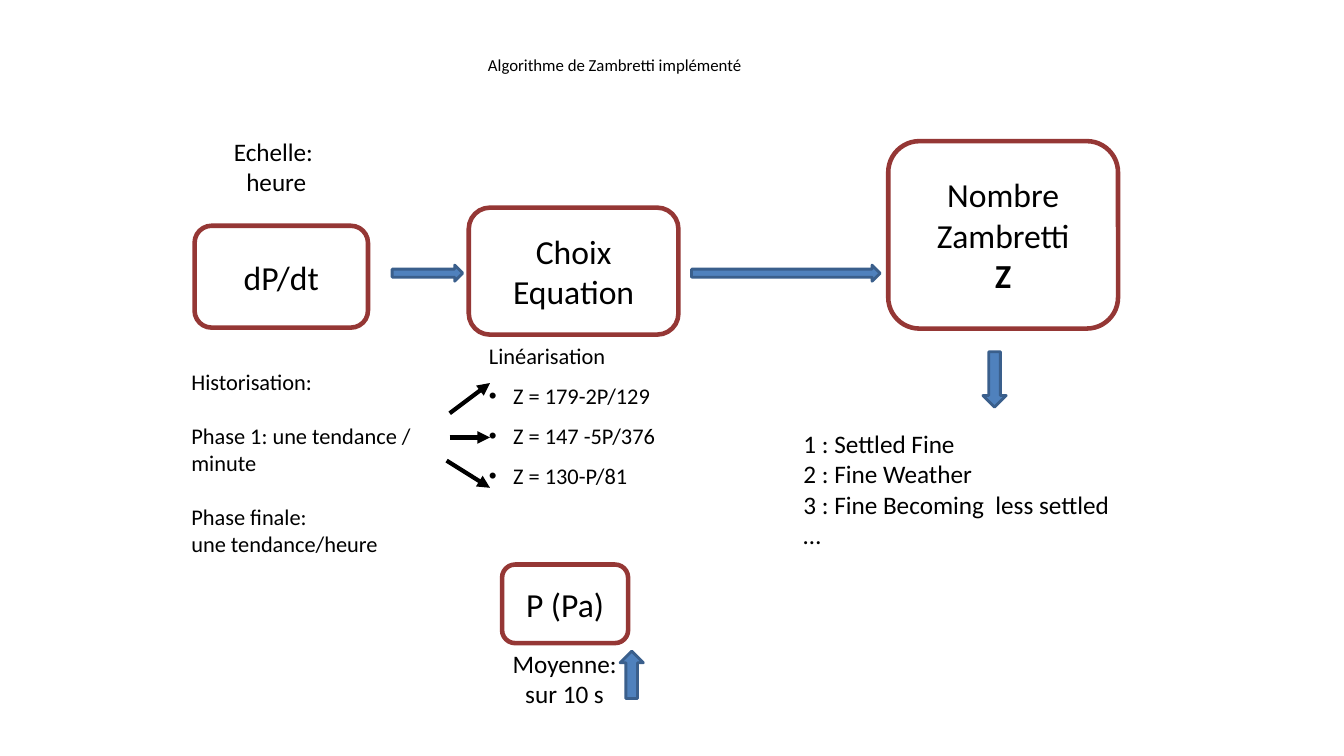
"""Build the slide that explains the Zambretti forecasting algorithm."""
from lxml.etree import SubElement
from pptx import Presentation
from pptx.dml.color import RGBColor
from pptx.enum.shapes import MSO_CONNECTOR as CONN, MSO_SHAPE as SHAPE
from pptx.enum.text import MSO_ANCHOR as ANCHOR, MSO_AUTO_SIZE as FIT, PP_ALIGN as ALIGN
from pptx.oxml.ns import qn
from pptx.util import Inches, Pt

C = {k: RGBColor.from_string(v) for k, v in {
    "text": "000000", "frame": "953735", "arrow": "4F81BD", "edge": "3A5F8C"}.items()}

prs = Presentation()
prs.slide_width, prs.slide_height = Inches(13.33), Inches(7.5)
COL, ROW = prs.slide_width / 100, prs.slide_height / 100
s = prs.slides.add_slide(prs.slide_layouts[1])


def grid(*cells):
    """Turn alternating column and row counts into lengths."""
    return [round(n * (ROW if i % 2 else COL)) for i, n in enumerate(cells)]


def write(sp, lines, size, align, anchor=ANCHOR.TOP):
    """Fill a shape with one paragraph per line."""
    tf = sp.text_frame
    tf.text = "\n".join(lines)
    frame_format = {"word_wrap": True, "auto_size": FIT.NONE, "vertical_anchor": anchor}
    for name, value in frame_format.items():
        setattr(tf, name, value)
    for p in tf.paragraphs:
        p.alignment = align
        p.space_before = Pt(0)
        for r in p.runs:
            for name, value in {"name": "Calibri", "size": Pt(size)}.items():
                setattr(r.font, name, value)
            r.font.color.rgb = C["text"]
    return tf.paragraphs


title, body = s.shapes.title, s.placeholders[1]
for sp, cells in ((title, (12, 4, 67.5, 9.2)), (body, (35.63, 44.53, 17.55, 27.87))):
    sp.left, sp.top, sp.width, sp.height = grid(*cells)
write(title, ["Algorithme de Zambretti implémenté"], 12, ALIGN.CENTER, ANCHOR.MIDDLE)

equations = write(body, ["Linéarisation", "Z = 179-2P/129", "Z = 147 -5P/376",
                         "Z = 130-P/81"], 16, ALIGN.LEFT)
for i, p in enumerate(equations):
    pPr = p._p.get_or_add_pPr()
    indent = Inches(0.24) if i else 0
    pPr.set("marL", str(indent))
    pPr.set("indent", str(-indent))
    if i:
        SubElement(pPr, qn("a:buFont"), typeface="Arial")
        SubElement(pPr, qn("a:buChar"), char="•")
        p.line_spacing = 1.5
    else:
        SubElement(pPr, qn("a:buNone"))

boxes = [
    (["dP/dt"], (14.48, 29.87, 12.9, 13.47)),
    (["P (Pa)"], (37.36, 74.67, 9.38, 10.4)),
    (["Choix", "Equation"], (34.88, 27.47, 15.6, 16.8)),
    (["Nombre", "Zambretti", "Z"], (66.09, 18.67, 17.1, 24.8)),
]
for lines, cells in boxes:
    sp = s.shapes.add_shape(SHAPE.ROUNDED_RECTANGLE, *grid(*cells))
    sp.shadow.inherit = False
    sp.fill.background()
    sp.line.color.rgb, sp.line.width = C["frame"], Pt(3.25)
    paragraphs = write(sp, lines, 24, ALIGN.CENTER, ANCHOR.MIDDLE)
    paragraphs[-1].runs[0].font.bold = lines[-1] == "Z"

block_arrows = [
    (SHAPE.RIGHT_ARROW, (29.18, 35.07, 5.25, 2.13)),
    (SHAPE.RIGHT_ARROW, (51.46, 35.07, 14.03, 2.13)),
    (SHAPE.DOWN_ARROW, (73.14, 46.53, 1.73, 7.33)),
    (SHAPE.UP_ARROW, (46.14, 86.13, 1.73, 6.27)),
]
for kind, cells in block_arrows:
    sp = s.shapes.add_shape(kind, *grid(*cells))
    sp.shadow.inherit = False
    sp.fill.solid()
    sp.fill.fore_color.rgb = C["arrow"]
    sp.line.color.rgb, sp.line.width = C["edge"], Pt(2)

notes = [
    (["Echelle: ", "heure"], 18, ALIGN.CENTER, (14.93, 17.33, 11.25, 9.33)),
    (["Moyenne:", "sur 10 s"], 18, ALIGN.CENTER, (36.16, 85.07, 11.7, 9.33)),
    (["Historisation:", "Phase 1: une tendance / minute", "Phase finale:",
      "une tendance/heure"], 16, ALIGN.LEFT, (13.5, 48, 20.18, 26.13)),
    (["1 : Settled Fine", "2 : Fine Weather", "3 : Fine Becoming  less settled",
      "…"], 18, ALIGN.LEFT, (59.04, 56, 24.61, 25.33)),
]
for lines, size, align, cells in notes:
    sp = s.shapes.add_textbox(*grid(*cells))
    for p in write(sp, lines, size, align):
        if p.text.startswith("Phase"):
            p.space_before = Pt(19.5)

branches = [
    (33.46, 57.87, 36.46, 57.87),
    (33.46, 54.67, 36.46, 50.67),
    (33.23, 60.93, 36.46, 64.53),
]
for cells in branches:
    line = s.shapes.add_connector(CONN.STRAIGHT, *grid(*cells))
    line.line.color.rgb, line.line.width = C["text"], Pt(3)
    SubElement(line.line._get_or_add_ln(), qn("a:tailEnd"), type="triangle")
    SubElement(line._element.spPr, qn("a:effectLst"))

prs.save("out.pptx")
